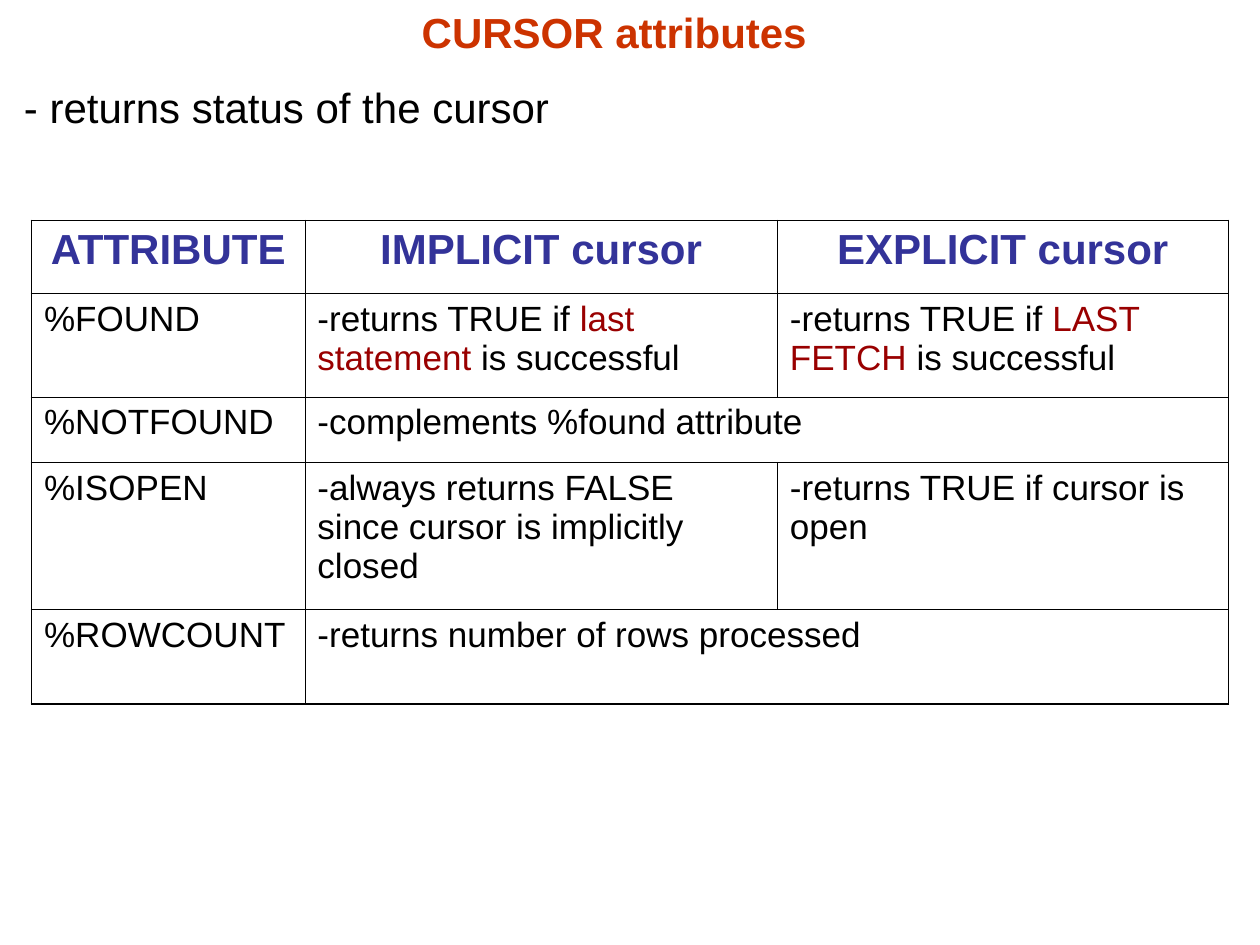
from lxml.etree import SubElement
from pptx import Presentation
from pptx.dml.color import RGBColor
from pptx.enum.text import MSO_ANCHOR, PP_ALIGN
from pptx.oxml.ns import qn
from pptx.util import Inches, Pt

COLORS = {
    "title": "CC3300",
    "header": "333399",
    "text": "000000",
    "accent": "990000",
    "border": "000000",
}
FONT = "Arial"
PAGE_WIDTH, PAGE_HEIGHT = 10, 7.5
COLUMNS = [2.17, 3.75, 3.58]
ROWS = [0.58, 0.82, 0.52, 1.17, 0.75]
OUTER_LINE, INNER_LINE = 1.08, 0.45
HEADERS = ["ATTRIBUTE", "IMPLICIT cursor", "EXPLICIT cursor"]
ATTRIBUTES = [
    [
        "%FOUND",
        ["-returns TRUE if ", "last statement", " is successful"],
        ["-returns TRUE if ", "LAST FETCH", " is successful"],
    ],
    ["%NOTFOUND", "-complements %found attribute"],
    [
        "%ISOPEN",
        "-always returns FALSE since cursor is implicitly closed",
        "-returns TRUE if cursor is open",
    ],
    ["%ROWCOUNT", "-returns number of rows processed"],
]


def style(paragraph, size, color, bold=False, align=PP_ALIGN.LEFT):
    paragraph.alignment = align
    font = paragraph.font
    font.name, font.size, font.bold = FONT, Pt(size), bold
    font.color.rgb = RGBColor.from_string(COLORS[color])


def place(shape, box):
    shape.left, shape.top, shape.width, shape.height = map(Inches, box)


def prepare_frame(frame, left_margin):
    frame.word_wrap = True
    frame.vertical_anchor = MSO_ANCHOR.TOP
    frame.margin_left = Inches(left_margin)
    frame.margin_right = Inches(0.1)
    frame.margin_top = frame.margin_bottom = Inches(0.05)


def add_heading(page, box):
    left, top, width, height = box
    title = page.shapes.title
    place(title, (left, top, width, height / 2))
    prepare_frame(title.text_frame, 0.1)
    title.text_frame.text = "CURSOR attributes"
    style(title.text_frame.paragraphs[0], 24, "title", True, PP_ALIGN.CENTER)

    lead_top = top + height * 0.54
    lead = page.shapes.add_textbox(
        *map(Inches, (left, lead_top, width, height / 2))
    )
    prepare_frame(lead.text_frame, 0.19)
    lead.text_frame.text = "- returns status of the cursor"
    style(lead.text_frame.paragraphs[0], 24, "text")


def add_borders(cell, outer_sides):
    properties = cell._tc.get_or_add_tcPr()
    for side in "LRTB":
        width = OUTER_LINE if side in outer_sides else INNER_LINE
        line = SubElement(properties, qn(f"a:ln{side}"), w=str(Pt(width)))
        fill = SubElement(line, qn("a:solidFill"))
        SubElement(fill, qn("a:srgbClr"), val=COLORS["border"])


def fill_cell(cell, content, is_header):
    paragraph = cell.text_frame.paragraphs[0]
    if is_header:
        style(paragraph, 24, "header", True, PP_ALIGN.CENTER)
    else:
        style(paragraph, 20, "text")
    spans = [content] if isinstance(content, str) else content
    for index, text in enumerate(spans):
        span = paragraph.add_run()
        span.text = text
        if index == 1:
            span.font.color.rgb = RGBColor.from_string(COLORS["accent"])


def add_attribute_table(page, box):
    frame = page.shapes.add_table(len(ROWS), len(COLUMNS), *map(Inches, box))
    table = frame.table
    table.first_row = table.horz_banding = False
    left, top, width, height = box
    for column, share in zip(table.columns, COLUMNS):
        column.width = Inches(width * share / sum(COLUMNS))
    for row, share in zip(table.rows, ROWS):
        row.height = Inches(height * share / sum(ROWS))

    last_row, last_column = len(ROWS) - 1, len(COLUMNS) - 1
    for row_index, contents in enumerate([HEADERS, *ATTRIBUTES]):
        for column_index in range(len(COLUMNS)):
            cell = table.cell(row_index, column_index)
            edges = {
                "L": column_index == 0,
                "R": column_index == last_column,
                "T": row_index == 0,
                "B": row_index == last_row,
            }
            if len(contents) < len(COLUMNS) and column_index == 1:
                cell.merge(table.cell(row_index, last_column))
                edges["R"] = True
            add_borders(cell, [side for side, outer in edges.items() if outer])
            cell.fill.background()
            if column_index < len(contents):
                fill_cell(cell, contents[column_index], row_index == 0)


def main():
    deck = Presentation()
    deck.slide_width = Inches(PAGE_WIDTH)
    deck.slide_height = Inches(PAGE_HEIGHT)
    page = deck.slides.add_slide(deck.slide_layouts[5])
    margin = PAGE_WIDTH / 40
    add_attribute_table(
        page, (margin, 1.75, PAGE_WIDTH - 2 * margin, sum(ROWS))
    )
    add_heading(page, (0, 0, PAGE_WIDTH - margin, 1.1))
    deck.save("out.pptx")


if __name__ == "__main__":
    main()
